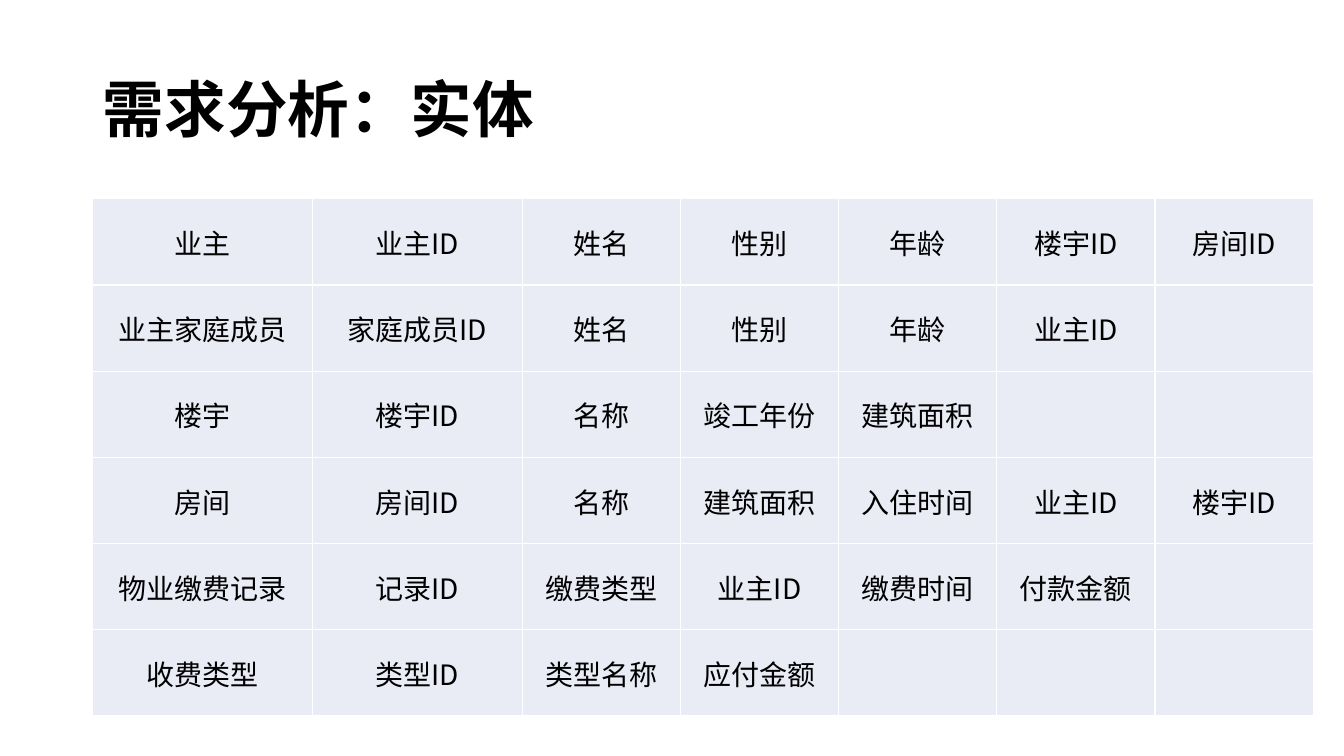
from lxml.etree import SubElement
from pptx import Presentation
from pptx.dml.color import RGBColor
from pptx.enum.text import MSO_ANCHOR, PP_ALIGN
from pptx.oxml.ns import qn
from pptx.util import Inches, Pt

FONT = "Noto Sans CJK SC"
COLORS = {"text": "000000", "cell": "E9EBF5", "border": "FFFFFF"}
COLUMN_WIDTHS = [2.18, 2.08] + [1.57] * 5
ROW_HEIGHT = 0.855
ENTITIES = [
    ["业主", "业主ID", "姓名", "性别", "年龄", "楼宇ID", "房间ID"],
    ["业主家庭成员", "家庭成员ID", "姓名", "性别", "年龄", "业主ID"],
    ["楼宇", "楼宇ID", "名称", "竣工年份", "建筑面积"],
    ["房间", "房间ID", "名称", "建筑面积", "入住时间", "业主ID", "楼宇ID"],
    ["物业缴费记录", "记录ID", "缴费类型", "业主ID", "缴费时间", "付款金额"],
    ["收费类型", "类型ID", "类型名称", "应付金额"],
]


class SlideBuilder:
    def __init__(self, presentation):
        self.width = presentation.slide_width
        self.height = presentation.slide_height
        self.slide = presentation.slides.add_slide(presentation.slide_layouts[5])

    def place(self, left, top):
        """Turn shares of the slide's size into lengths."""
        return int(self.width * left), int(self.height * top)

    def style_paragraph(self, paragraph, size, alignment, bold=False):
        paragraph.alignment = alignment
        font = paragraph.font
        font.name, font.size, font.bold = FONT, Pt(size), bold
        font.color.rgb = RGBColor.from_string(COLORS["text"])
        SubElement(font._element, qn("a:ea"), typeface=FONT)

    def add_title(self, text, left, top, width, height):
        title = self.slide.shapes.title
        title.left, title.top = self.place(left, top)
        title.width, title.height = self.place(width, height)
        frame = title.text_frame
        frame.text = text
        frame.vertical_anchor = MSO_ANCHOR.MIDDLE
        paragraph = frame.paragraphs[0]
        paragraph.line_spacing = 0.9
        self.style_paragraph(paragraph, 44, PP_ALIGN.LEFT, bold=True)

    def add_table(self, rows, left, top):
        column_count = len(COLUMN_WIDTHS)
        frame = self.slide.shapes.add_table(
            len(rows), column_count, *self.place(left, top),
            Inches(sum(COLUMN_WIDTHS)), Inches(ROW_HEIGHT * len(rows)))
        table = frame.table
        table.first_row = table.horz_banding = False
        for column, width in zip(table.columns, COLUMN_WIDTHS):
            column.width = Inches(width)
        for row, texts in zip(table.rows, rows):
            row.height = Inches(ROW_HEIGHT)
            padded_texts = texts + [""] * (column_count - len(texts))
            for cell, text in zip(row.cells, padded_texts):
                self.fill_cell(cell, text)

    def fill_cell(self, cell, text):
        cell.vertical_anchor = MSO_ANCHOR.MIDDLE
        cell.margin_left = cell.margin_right = cell.margin_top = Inches(0.01)
        cell.margin_bottom = 0
        self.add_borders(cell)
        cell.fill.solid()
        cell.fill.fore_color.rgb = RGBColor.from_string(COLORS["cell"])
        if text:
            cell.text = text
            self.style_paragraph(cell.text_frame.paragraphs[0], 20, PP_ALIGN.CENTER)

    def add_borders(self, cell):
        properties = cell._tc.get_or_add_tcPr()
        for side in ("lnL", "lnR", "lnT", "lnB"):
            line = SubElement(properties, qn(f"a:{side}"), w=str(Pt(1)))
            fill = SubElement(line, qn("a:solidFill"))
            SubElement(fill, qn("a:srgbClr"), val=COLORS["border"])


def main():
    presentation = Presentation()
    presentation.slide_width = Inches(13.333)
    presentation.slide_height = Inches(7.5)
    builder = SlideBuilder(presentation)
    builder.add_title("需求分析：实体", 0.069, 0.053, 0.8625, 0.193)
    builder.add_table(ENTITIES, 0.069, 0.263)
    presentation.save("out.pptx")


if __name__ == "__main__":
    main()
